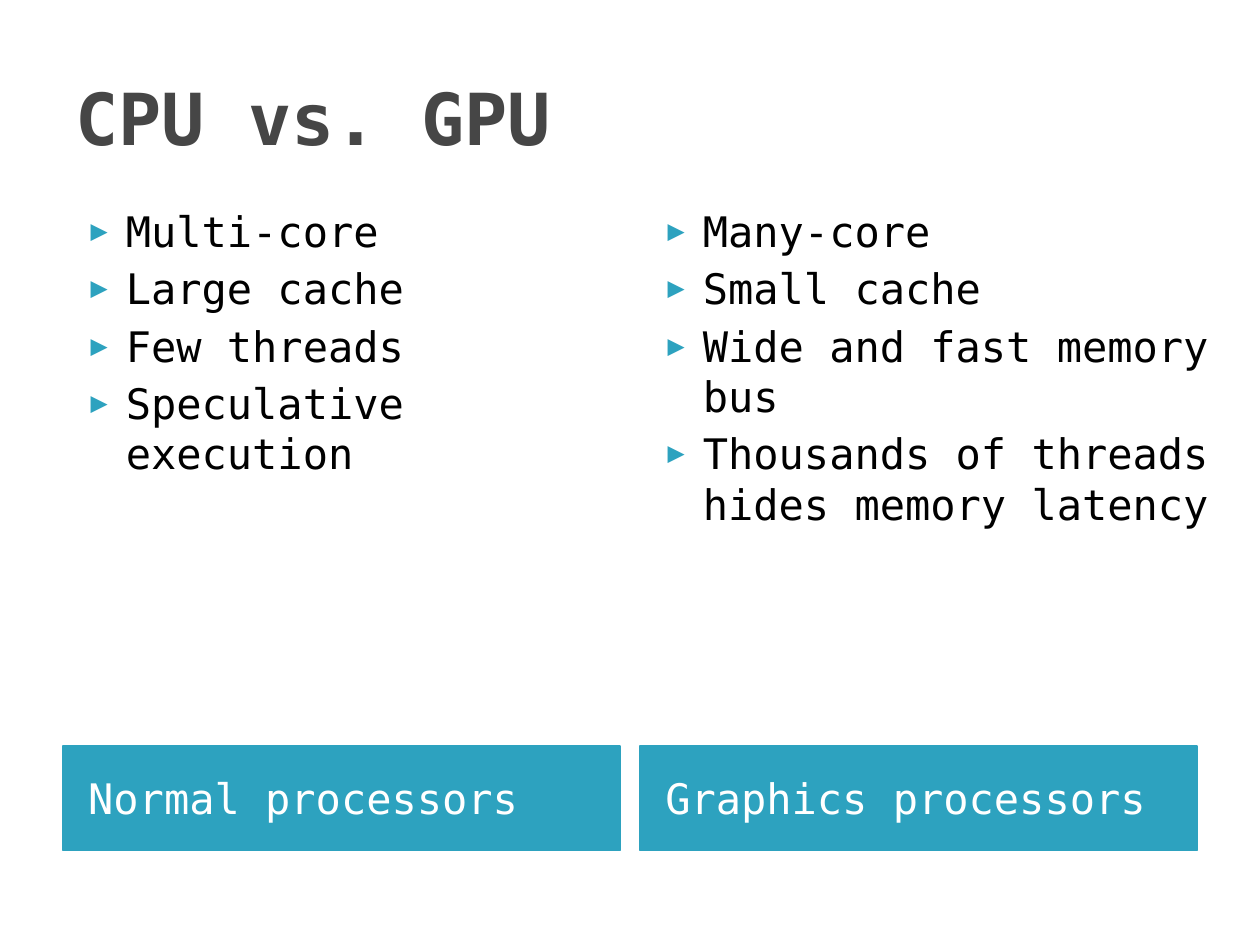
from lxml import etree
from pptx import Presentation
from pptx.dml.color import RGBColor
from pptx.enum.shapes import MSO_SHAPE
from pptx.enum.text import MSO_ANCHOR, MSO_AUTO_SIZE, PP_ALIGN
from pptx.oxml.ns import qn
from pptx.util import Inches, Pt

RECTANGLE = MSO_SHAPE.RECTANGLE
TOP, MIDDLE = MSO_ANCHOR.TOP, MSO_ANCHOR.MIDDLE
LEFT = PP_ALIGN.LEFT
NO_FIT = MSO_AUTO_SIZE.NONE

TITLE = "CPU vs. GPU"
COLUMNS = [
    {
        "label": "Normal processors",
        "points": ["Multi-core", "Large cache", "Few threads", "Speculative execution"],
        "list_width": 4.42,
    },
    {
        "label": "Graphics processors",
        "points": [
            "Many-core",
            "Small cache",
            "Wide and fast memory bus",
            "Thousands of threads hides memory latency",
        ],
        "list_width": 4.92,
    },
]

THEME = {
    "font": "DejaVu Sans Mono",
    "accent": "2DA2BF",
    "title": "464646",
    "text": "000000",
    "inverse": "FFFFFF",
    "title_size": 41,
    "body_size": 24,
}

MARGIN = 0.5
COLUMN_WIDTH = 4.42
COLUMN_GAP = 0.16
LIST_TOP, LIST_HEIGHT = 1.58, 4.31
LABEL_TOP, LABEL_HEIGHT = 5.92, 0.83


def color(name):
    return RGBColor.from_string(THEME[name])


def add_bullet(para):
    properties = para._p.get_or_add_pPr()
    properties.set("marL", str(Inches(0.4)))
    properties.set("indent", str(Inches(-0.28)))
    bullet_color = etree.SubElement(properties, qn("a:buClr"))
    etree.SubElement(bullet_color, qn("a:srgbClr"), val=THEME["accent"])
    etree.SubElement(properties, qn("a:buSzPct"), val="68000")
    etree.SubElement(properties, qn("a:buFont"), typeface=THEME["font"])
    etree.SubElement(properties, qn("a:buChar"), char="▶")


def write(box, lines, size="body_size", fill="text", bold=False,
          anchor=TOP, inset=0.1, before=4, bullets=False):
    frame = box.text_frame
    frame.word_wrap = True
    frame.auto_size = NO_FIT
    frame.vertical_anchor = anchor
    frame.margin_left, frame.margin_right = Inches(inset), Inches(0.1)
    frame.margin_top = frame.margin_bottom = Inches(0.05)
    for index, line in enumerate(lines):
        para = frame.add_paragraph() if index else frame.paragraphs[0]
        para.alignment = LEFT
        para.space_before = Pt(before)
        if bullets:
            add_bullet(para)
        span = para.add_run()
        span.text = line
        span.font.name = THEME["font"]
        span.font.size = Pt(THEME[size])
        span.font.bold = bold
        span.font.color.rgb = color(fill)


def add_column(page, index, column):
    left = Inches(MARGIN + index * (COLUMN_WIDTH + COLUMN_GAP))
    label = page.shapes.add_shape(
        RECTANGLE, left, Inches(LABEL_TOP), Inches(COLUMN_WIDTH), Inches(LABEL_HEIGHT))
    label.shadow.inherit = False
    label.fill.solid()
    label.fill.fore_color.rgb = color("accent")
    label.line.color.rgb = color("accent")
    label.line.width = Pt(0.75)
    write(label, [column["label"]], fill="inverse", anchor=MIDDLE, inset=0.2)

    points = page.shapes.add_textbox(
        left, Inches(LIST_TOP), Inches(column["list_width"]), Inches(LIST_HEIGHT))
    write(points, column["points"], bullets=True)


def main():
    deck = Presentation()
    deck.slide_width, deck.slide_height = Inches(10), Inches(7.5)
    page = deck.slides.add_slide(deck.slide_layouts[5])
    title = page.shapes.title
    title.left, title.top = Inches(MARGIN), Inches(0.3)
    title.width, title.height = Inches(9), Inches(1.25)
    write(title, [TITLE], size="title_size", fill="title", bold=True,
          anchor=MIDDLE, before=0)
    for index, column in enumerate(COLUMNS):
        add_column(page, index, column)
    deck.save("out.pptx")


if __name__ == "__main__":
    main()
